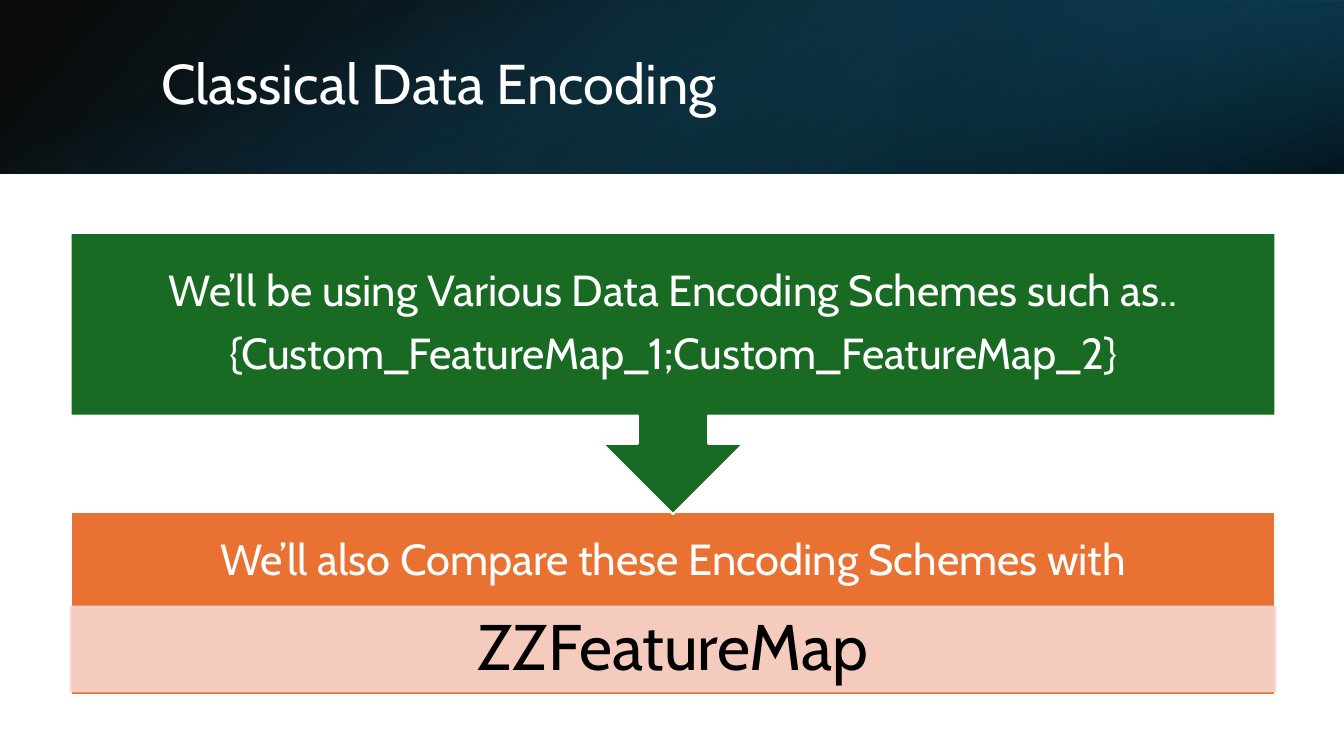
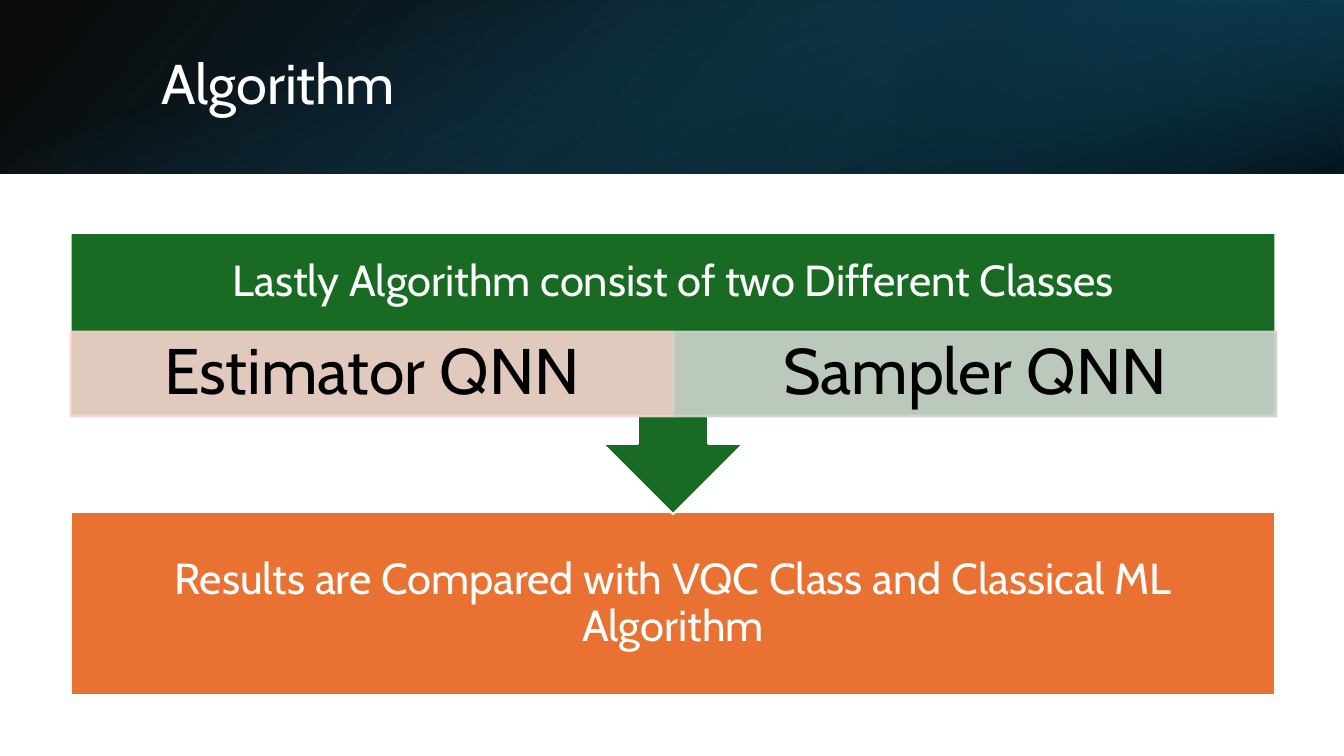
from pptx import Presentation
from pptx import util as u
from pptx.dml.color import RGBColor
from pptx.enum import shapes, text
from pptx.oxml import ns
from lxml import etree

SCALE = 9144
WIDTH, HEIGHT, HEADER = 1333, 750, 172
LEFT, BAND_WIDTH = 70, 1195
CALLOUT_TOP, CALLOUT_HEIGHT, CALLOUT_BODY = 231, 279, 181
BASE_TOP, BASE_HEIGHT = 508, 182
SPLIT_HEIGHT, TILE_HEIGHT = 98, 84
WHITE, BLACK, GREEN, ORANGE = "FFFFFF", "000000", "196B24", "E97132"
PINK, SAGE = "F7D5CE", "CCD4CD"

HEADER_LAYERS = [
    dict(box=(0, 0, WIDTH, HEADER), flip=True, rotation=0, angle=140,
         stops=[(0, BLACK, 96), (100, "104862", 100)]),
    dict(box=(889, 0, 444, HEADER), flip=True, rotation=180, angle=320,
         stops=[(19, "0B3041", 68), (100, "156082", 79)]),
    dict(box=(580, -580, HEADER, WIDTH), flip=False, rotation=90, angle=340,
         stops=[(23, "156082", 0), (99, BLACK, 74)]),
]

TEXT_STYLES = {
    "title": dict(size=40, color=WHITE, margins=(10, 5), align="LEFT"),
    "band": dict(size=31, color=WHITE, margins=(24, 24), align="CENTER"),
    "tile": dict(size=46, color=BLACK, margins=(36, 6), align="CENTER"),
}


def px(length):
    """Turn px into EMU."""
    return u.Emu(length * SCALE)


def rgb(value):
    """Turn a hex string into a colour."""
    return RGBColor.from_string(value)


def assign(target, values):
    """Set each attribute named in values."""
    for name, value in values.items():
        setattr(target, name, value)


class Deck:
    """Hold the shared style and the current slide."""

    def __init__(self):
        """Open an empty wide presentation."""
        self.presentation = Presentation()
        assign(self.presentation, dict(slide_width=px(WIDTH), slide_height=px(HEIGHT)))
        self.slide = None

    def add_slide(self, title):
        """Start a slide with the header and its title."""
        self.slide = self.presentation.slides.add_slide(self.presentation.slide_layouts[6])
        for layer in HEADER_LAYERS:
            self.header_layer(**layer)
        self.label((150, 38, 1098, 96), [title], "title")

    def shape(self, kind, box):
        """Add a preset shape without a shadow."""
        shape = self.slide.shapes.add_shape(kind, *map(px, box))
        shape.shadow.inherit = False
        return shape

    def opacity(self, shape, percents):
        """Give the colours of a shape their opacity, in order."""
        colors = shape._element.spPr.iter(ns.qn("a:srgbClr"))
        for color, percent in zip(colors, percents):
            if percent < 100:
                etree.SubElement(color, ns.qn("a:alpha"), val=str(percent * 1000))

    def header_layer(self, box, flip, rotation, angle, stops):
        """Add one gradient layer of the header."""
        shape = self.shape(shapes.MSO_SHAPE.RECTANGLE, box)
        shape.rotation = rotation
        shape.line.fill.background()
        if flip:
            shape._element.spPr.find(ns.qn("a:xfrm")).set("flipH", "1")
        shape.fill.gradient()
        shape.fill.gradient_angle = 360 - angle
        for stop, (position, color, _) in zip(shape.fill.gradient_stops, stops):
            stop.position = position / 100
            stop.color.rgb = rgb(color)
        self.opacity(shape, [percent for _, _, percent in stops])

    def block(self, kind, box, fill, line=WHITE):
        """Add a filled and outlined shape."""
        shape = self.shape(kind, box)
        shape.fill.solid()
        shape.fill.fore_color.rgb = rgb(fill)
        shape.line.color.rgb = rgb(line)
        shape.line.width = u.Pt(1.5)
        return shape

    def set_text(self, shape, lines, style):
        """Put paragraphs into a shape in a named style."""
        look = TEXT_STYLES[style]
        side, edge = map(px, look["margins"])
        frame = shape.text_frame
        assign(frame, dict(
            text="\n".join(lines), word_wrap=True, auto_size=text.MSO_AUTO_SIZE.NONE,
            vertical_anchor=text.MSO_ANCHOR.MIDDLE,
            margin_left=side, margin_right=side, margin_top=edge, margin_bottom=edge))
        for paragraph in frame.paragraphs:
            assign(paragraph, dict(
                alignment=text.PP_ALIGN[look["align"]], line_spacing=0.9,
                space_after=u.Pt(round(look["size"] * 0.35))))
            for run in paragraph.runs:
                assign(run.font, dict(name="Cabin", size=u.Pt(look["size"])))
                run.font.color.rgb = rgb(look["color"])

    def label(self, box, lines, style):
        """Add a text box."""
        self.set_text(self.slide.shapes.add_textbox(*map(px, box)), lines, style)

    def base(self, lines, height=BASE_HEIGHT):
        """Add the lower band with text in its upper height."""
        self.block(shapes.MSO_SHAPE.RECTANGLE, (LEFT, BASE_TOP, BAND_WIDTH, BASE_HEIGHT), ORANGE)
        self.label((LEFT, BASE_TOP, BAND_WIDTH, height), lines, "band")

    def callout(self, lines, height=CALLOUT_BODY):
        """Add the upper band that points down, with text in its upper height."""
        box = (LEFT, CALLOUT_TOP, BAND_WIDTH, CALLOUT_HEIGHT)
        self.block(shapes.MSO_SHAPE.UP_ARROW_CALLOUT, box, GREEN).rotation = 180
        self.label((LEFT, CALLOUT_TOP, BAND_WIDTH, height), lines, "band")

    def tiles(self, top, items):
        """Add a row of equal translucent tiles."""
        width = BAND_WIDTH / len(items)
        for index, (caption, color) in enumerate(items):
            box = (round(LEFT + index * width), top, round(width), TILE_HEIGHT)
            tile = self.block(shapes.MSO_SHAPE.RECTANGLE, box, color, color)
            self.opacity(tile, (90, 90))
            self.set_text(tile, [caption], "tile")


def main():
    """Build both slides and save them."""
    deck = Deck()

    deck.add_slide("Classical Data Encoding")
    deck.base(["We’ll also Compare these Encoding Schemes with"], SPLIT_HEIGHT)
    deck.tiles(602, [("ZZFeatureMap", PINK)])
    deck.callout(["We’ll be using Various Data Encoding Schemes such as..",
                  "{Custom_FeatureMap_1;Custom_FeatureMap_2}"])

    deck.add_slide("Algorithm")
    deck.base(["Results are Compared with VQC Class and Classical ML Algorithm"])
    deck.callout(["Lastly Algorithm consist of two Different Classes"], SPLIT_HEIGHT)
    deck.tiles(CALLOUT_TOP + SPLIT_HEIGHT, [("Estimator QNN", PINK), ("Sampler QNN", SAGE)])

    deck.presentation.save("out.pptx")


if __name__ == "__main__":
    main()
